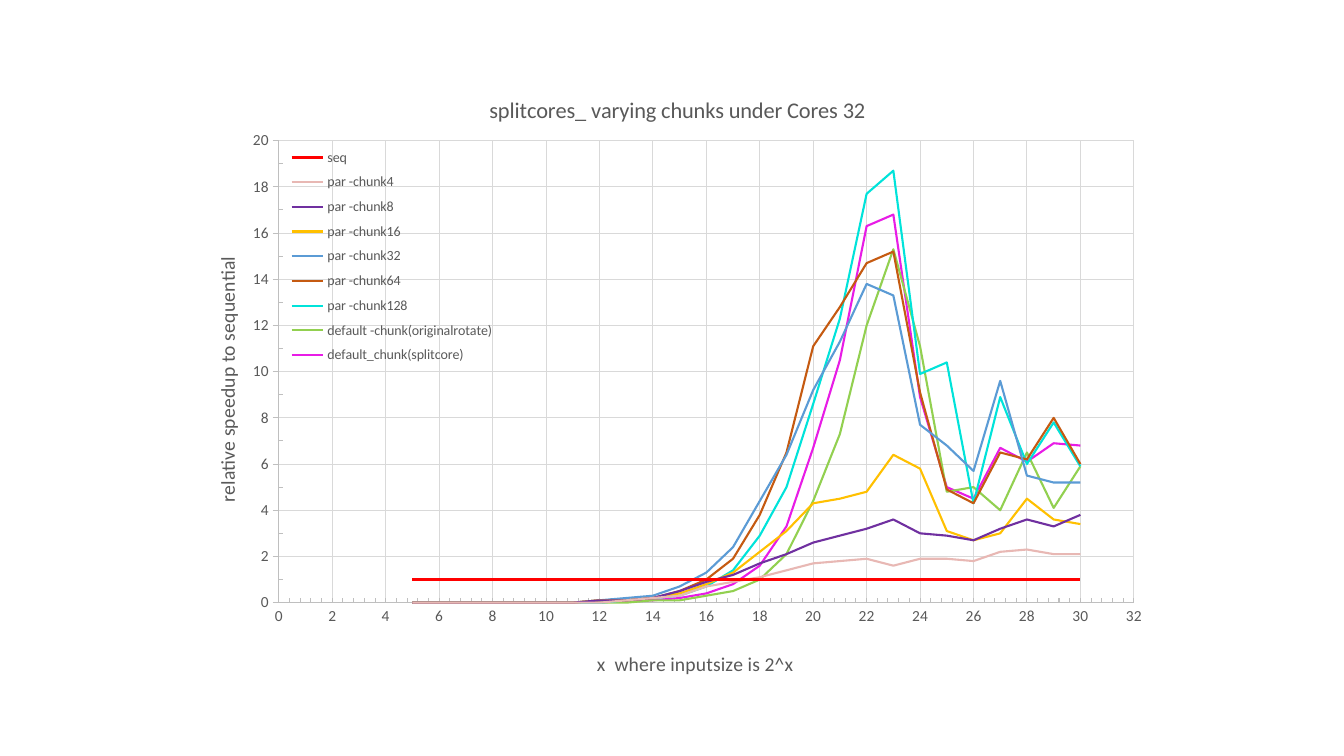
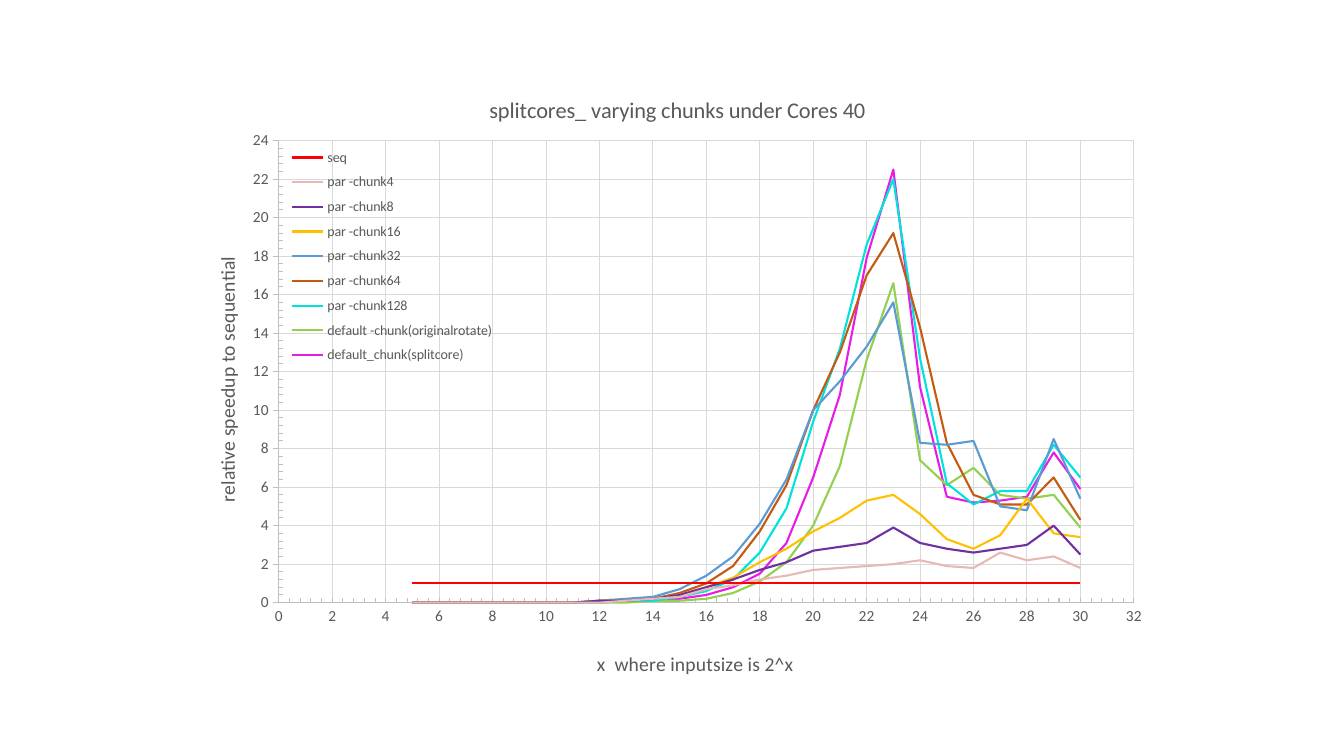
from itertools import pairwise
from math import sqrt

from pptx import Presentation
from pptx.chart.data import XyChartData as Data
from pptx.dml.color import RGBColor
from pptx.enum.chart import XL_CHART_TYPE as Kind, XL_LEGEND_POSITION as Side, XL_TICK_MARK as Tick
from pptx.oxml import parse_xml
from pptx.oxml.ns import nsdecls, qn
from pptx.util import Pt

GRAY, AXIS, GRID = "595959", "BFBFBF", "D9D9D9"
FONT = "Calibri"
START, RISE, END = 5, 16, 30
SPAN = range(START, END + 1)

LINES = [
    ("seq", "FF0000"),
    ("par -chunk4", "E8B8B4"),
    ("par -chunk8", "7030A0"),
    ("par -chunk16", "FFC000"),
    ("par -chunk32", "5B9BD5"),
    ("par -chunk64", "C55A11"),
    ("par -chunk128", "00E3DA"),
    ("default -chunk(originalrotate)", "92D050"),
    ("default_chunk(splitcore)", "E81CE6"),
]

CORES = {
    32: [
        [0.7, 1.1, 1.7, 1.9, 1.6, 1.9, 1.9, 1.8, 2.2, 2.3, 2.1, 2.1],
        [0.9, 1.7, 2.6, 3.2, 3.6, 3, 2.9, 2.7, 3.2, 3.6, 3.3, 3.8],
        [0.8, 2.2, 4.3, 4.8, 6.4, 5.8, 3.1, 2.7, 3, 4.5, 3.6, 3.4],
        [1.3, 4.4, 9.2, 13.8, 13.3, 7.7, 6.8, 5.7, 9.6, 5.5, 5.2, 5.2],
        [1, 3.8, 11.1, 14.7, 15.2, 9.1, 4.9, 4.3, 6.5, 6.2, 8, 6],
        [0.7, 2.9, 8.6, 17.7, 18.7, 9.9, 10.4, 4.3, 8.9, 6, 7.8, 5.9],
        [0.3, 1, 4.4, 12, 15.3, 11.1, 4.8, 5, 4, 6.5, 4.1, 5.9],
        [0.4, 1.6, 6.7, 16.3, 16.8, 8.9, 5, 4.5, 6.7, 6.1, 6.9, 6.8],
    ],
    40: [
        [0.7, 1.2, 1.7, 1.9, 2, 2.2, 1.9, 1.8, 2.6, 2.2, 2.4, 1.8],
        [0.8, 1.7, 2.7, 3.1, 3.9, 3.1, 2.8, 2.6, 2.8, 3, 4, 2.5],
        [0.8, 2.1, 3.7, 5.3, 5.6, 4.6, 3.3, 2.8, 3.5, 5.4, 3.6, 3.4],
        [1.4, 4.1, 10, 13.3, 15.6, 8.3, 8.2, 8.4, 5, 4.8, 8.5, 5.4],
        [1, 3.7, 10, 17, 19.2, 14.3, 8.3, 5.6, 5.1, 5.1, 6.5, 4.3],
        [0.6, 2.6, 9.4, 18.6, 22, 12.7, 6.2, 5.1, 5.8, 5.8, 8.2, 6.5],
        [0.2, 1.1, 4, 12.6, 16.6, 7.4, 6.1, 7, 5.6, 5.4, 5.6, 3.9],
        [0.4, 1.5, 6.5, 17.9, 22.5, 11.2, 5.5, 5.2, 5.3, 5.5, 7.8, 5.9],
    ],
}


def color(code):
    return RGBColor.from_string(code)


def fill(row):
    vals = [row[0] / 2 ** (RISE - x) for x in range(START, RISE)]
    for low, high in pairwise(row[:4]):
        vals += [low, sqrt(low * high)]
    return [round(val, 1) for val in vals + row[3:]]


def place(host, after=None, **box):
    for old in host.findall(qn("c:layout")):
        host.remove(old)
    inner = '<c:layoutTarget val="inner"/>' if after is None else ""
    modes = "".join(f'<c:{key}Mode val="edge"/>' for key in "xy")
    spots = "".join(f'<c:{key} val="{val}"/>' for key, val in box.items())
    node = parse_xml(
        f'<c:layout {nsdecls("c")}><c:manualLayout>{inner}{modes}{spots}'
        "</c:manualLayout></c:layout>"
    )
    if after is None:
        host.insert(0, node)
    else:
        host.find(qn(after)).addnext(node)


class Deck:
    def __init__(self):
        self.prs = Presentation()
        self.prs.slide_width, self.prs.slide_height = Pt(960), Pt(540)
        self.slide = None

    def page(self):
        self.slide = self.prs.slides.add_slide(self.prs.slide_layouts[6])

    def font(self, font, size):
        font.name, font.size, font.bold = FONT, Pt(size), False
        font.color.rgb = color(GRAY)

    def line(self, line, code, width):
        line.color.rgb, line.width = color(code), Pt(width)

    def title(self, title, text, size, x, y):
        frame = title.text_frame
        frame.text = text
        for run in frame.paragraphs[0].runs:
            self.font(run.font, size)
        place(title._element, "c:tx", x=x, y=y)

    def axis(self, axis, text, top, minor, tick, x, y):
        axis.minimum_scale, axis.maximum_scale = 0, top
        axis.major_unit, axis.minor_unit = 2, minor
        axis.major_tick_mark, axis.minor_tick_mark = tick, Tick.INSIDE
        axis.has_major_gridlines = True
        self.line(axis.major_gridlines.format.line, GRID, 0.75)
        self.line(axis.format.line, AXIS, 0.75)
        self.font(axis.tick_labels.font, 11)
        self.title(axis.axis_title, text, 14, x, y)

    def legend(self, chart):
        chart.has_legend = True
        legend = chart.legend
        legend.position = Side.RIGHT
        legend.include_in_layout = True
        self.font(legend.font, 10)
        place(legend._element, "c:legendPos", x=0.1, y=0.12, w=0.23, h=0.37)

    def chart(self, cores, rows, top, minor):
        data = Data()
        full = [[1] * len(SPAN)] + [fill(row) for row in rows]
        for (name, _), row in zip(LINES, full):
            series = data.add_series(name)
            for x, y in zip(SPAN, row):
                series.add_data_point(x, y)
        chart = self.slide.shapes.add_chart(
            Kind.XY_SCATTER_LINES_NO_MARKERS, Pt(129), Pt(47), Pt(702), Pt(446), data
        ).chart
        self.font(chart.font, 10)
        plot = chart.plots[0]
        plot.vary_by_categories = False
        for series, (_, code) in zip(plot.series, LINES):
            self.line(series.format.line, code, 1.5)
        chart.has_title = True
        text = f"splitcores_ varying chunks under Cores {cores}"
        self.title(chart.chart_title, text, 16, 0.31, 0.04)
        self.axis(chart.category_axis, "x  where inputsize is 2^x", 32, 0.4, Tick.NONE, 0.42, 0.93)
        side = chart.value_axis
        self.axis(side, "relative speedup to sequential", top, minor, Tick.OUTSIDE, 0.03, 0.3)
        side.axis_title.text_frame._txBody.bodyPr.set("rot", "-5400000")
        self.legend(chart)
        place(chart._chartSpace.chart.plotArea, x=0.1, y=0.12, w=0.87, h=0.74)


deck = Deck()
for cores, top, minor in ((32, 20, 1), (40, 24, 0.4)):
    deck.page()
    deck.chart(cores, CORES[cores], top, minor)
deck.prs.save("out.pptx")
